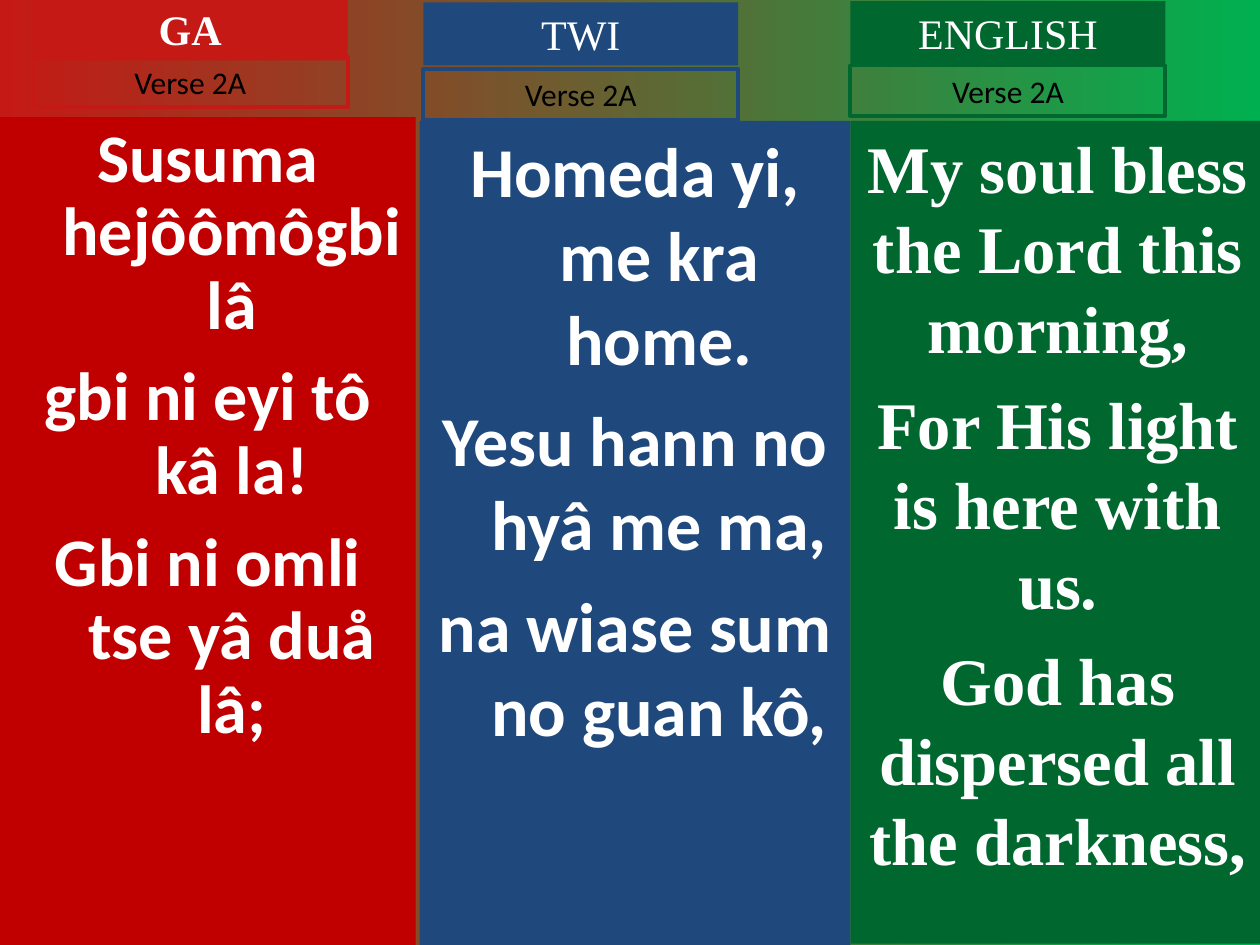
from pptx import Presentation
from pptx.dml.color import RGBColor
from pptx.enum.shapes import MSO_SHAPE
from pptx.enum.text import MSO_ANCHOR, MSO_AUTO_SIZE, PP_ALIGN
from pptx.util import Inches, Pt

RECT = MSO_SHAPE.RECTANGLE
TOP = MSO_ANCHOR.TOP
GROW = MSO_AUTO_SIZE.SHAPE_TO_FIT_TEXT
CENTER = PP_ALIGN.CENTER
BLANK_LAYOUT = 6
LABEL_WIDTH, NAME_HEIGHT, VERSE_HEIGHT = 2.5, 0.5, 0.4
HANGING = 0.38
SANS, SERIF = "Calibri", "Times New Roman"
COLORS = {
    "red": "C00000", "bright_red": "C51915", "blue": "1F497D",
    "green": "00682F", "bright_green": "00B050",
    "white": "FFFFFF", "black": "000000",
}
VERSE = "Verse 2A"
COLUMNS = [
    {
        "name": "GA", "name_bold": True, "label": "bright_red",
        "label_left": 0.26, "name_top": -0.02, "verse_top": 0.45,
        "fill": "red", "area": (0, 0.93, 3.3, 6.57), "hanging": HANGING,
        "font": {"name": SANS, "size": Pt(38.9), "bold": True},
        "spacing": {"line_spacing": 0.9, "space_before": Pt(10.5)},
        "lyrics": ["Susuma hejôômôgbi lâ", "gbi ni eyi tô kâ la!",
                   "Gbi ni omli tse yâ duå lâ;"],
    },
    {
        "name": "TWI", "name_bold": False, "label": "blue",
        "label_left": 3.36, "name_top": 0.02, "verse_top": 0.55,
        "fill": "blue", "area": (3.33, 0.96, 3.42, 6.54), "hanging": HANGING,
        "font": {"name": SANS, "size": Pt(40), "bold": True},
        "spacing": {"space_before": Pt(10)},
        "lyrics": ["Homeda yi, me kra home.", "Yesu hann no hyâ me ma,",
                   "na wiase sum no guan kô,"],
    },
    {
        "name": "ENGLISH", "name_bold": False, "label": "green",
        "label_left": 6.75, "name_top": 0.01, "verse_top": 0.52,
        "fill": "green", "area": (6.75, 0.96, 3.29, 6.53), "hanging": 0,
        "font": {"name": SERIF, "size": Pt(38), "bold": True},
        "spacing": {"space_before": Pt(9.5)},
        "lyrics": ["My soul bless the Lord this morning,",
                   "For His light is here with us.",
                   "God has dispersed all the darkness,"],
    },
]


def rgb(name):
    """Return the named colour."""
    return RGBColor.from_string(COLORS[name])


def set_background(slide, start, end):
    """Fill the slide with a left-to-right gradient."""
    fill = slide.background.fill
    fill.gradient()
    fill.gradient_angle = 0
    for stop, name, position in zip(fill.gradient_stops, (start, end), (0, 1)):
        stop.color.rgb = rgb(name)
        stop.position = position


def add_box(slide, area, fill=None, line=None):
    """Add a plain rectangle and return it."""
    s = slide.shapes.add_shape(RECT, *map(Inches, area))
    s.shadow.inherit = False
    if fill:
        s.fill.solid()
        s.fill.fore_color.rgb = rgb(fill)
    else:
        s.fill.background()
    if line:
        s.line.color.rgb = rgb(line)
        s.line.width = Pt(2.25)
    else:
        s.line.fill.background()
    return s


def write(shape, lines, font, color="white", spacing=None, hanging=0):
    """Write centred paragraphs from the top of a shape."""
    tf = shape.text_frame
    tf.word_wrap = True
    tf.vertical_anchor = TOP
    for i, line in enumerate(lines):
        p = tf.paragraphs[0] if i == 0 else tf.add_paragraph()
        p.alignment = CENTER
        for key, value in (spacing or {}).items():
            setattr(p, key, value)
        if i == 0:
            p.space_before = Pt(0)
        if hanging:
            props = p._p.get_or_add_pPr()
            props.set("marL", str(Inches(hanging)))
            props.set("indent", str(-Inches(hanging)))
        r = p.add_run()
        r.text = line
        for key, value in font.items():
            setattr(r.font, key, value)
        r.font.color.rgb = rgb(color)


def add_lyrics(slide, column):
    """Add the coloured panel with the verse text of one language."""
    panel = add_box(slide, column["area"], fill=column["fill"])
    write(panel, column["lyrics"], column["font"],
          spacing=column["spacing"], hanging=column["hanging"])


def add_labels(slide, column):
    """Add the language name and the verse number above a panel."""
    left, color = column["label_left"], column["label"]
    name = add_box(slide, (left, column["name_top"], LABEL_WIDTH, NAME_HEIGHT),
                   fill=color)
    write(name, [column["name"]],
          {"name": SERIF, "size": Pt(24), "bold": column["name_bold"]})
    verse = add_box(slide, (left, column["verse_top"], LABEL_WIDTH, VERSE_HEIGHT),
                    line=color)
    write(verse, [VERSE], {"name": SANS, "size": Pt(18)}, color="black")
    for label in (name, verse):
        label.text_frame.auto_size = GROW


def main():
    """Build the three-language verse slide."""
    prs = Presentation()
    prs.slide_width, prs.slide_height = Inches(10), Inches(7.5)
    slide = prs.slides.add_slide(prs.slide_layouts[BLANK_LAYOUT])
    set_background(slide, "bright_red", "bright_green")
    for column in COLUMNS:
        add_lyrics(slide, column)
        add_labels(slide, column)
    prs.save("out.pptx")


if __name__ == "__main__":
    main()
